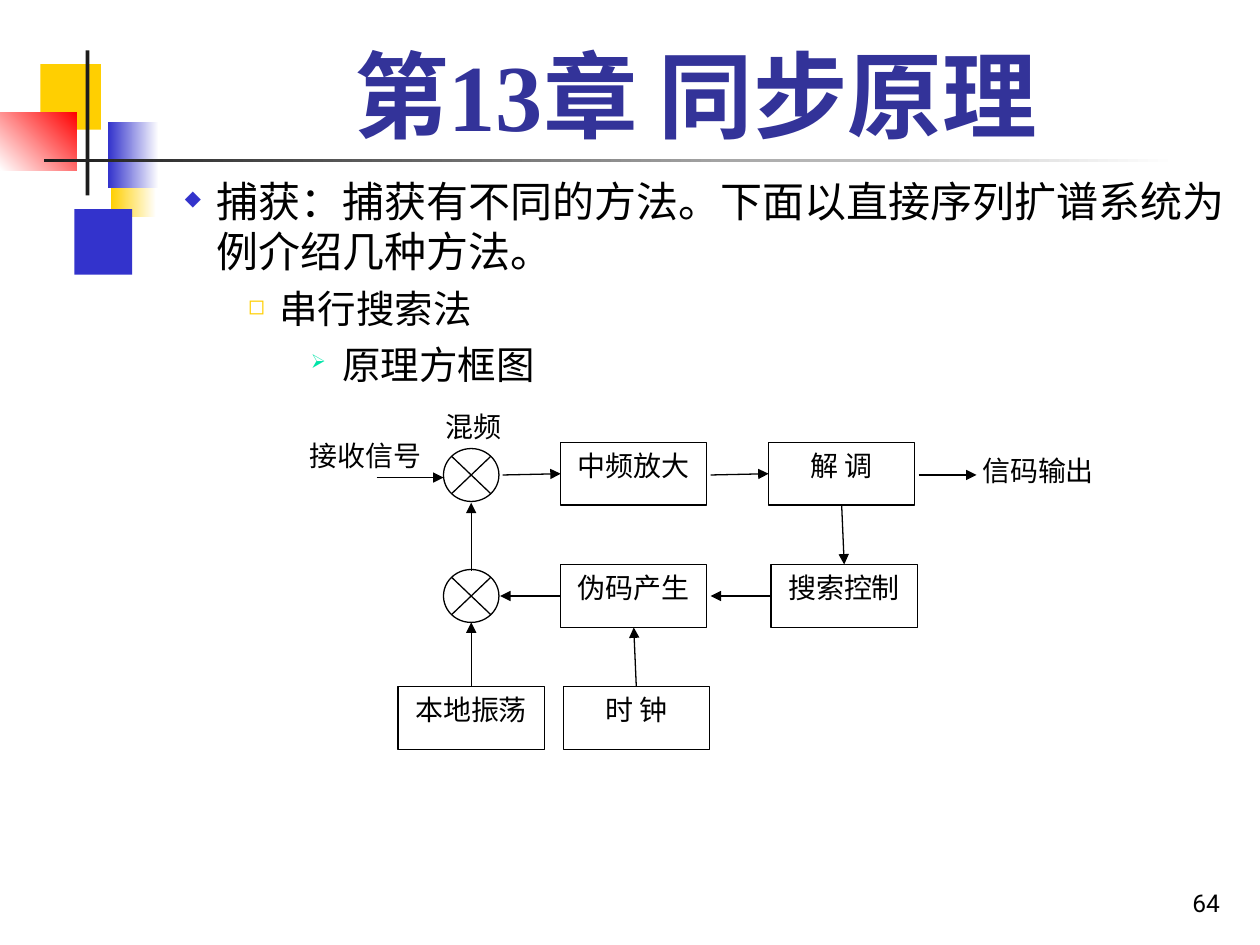
"""Builds the slide on synchronisation: serial search acquisition block diagram."""
import lxml.etree
import pptx
import pptx.dml.color
import pptx.enum.shapes
import pptx.enum.text
import pptx.oxml.ns
import pptx.util

presentation = pptx.Presentation()
presentation.slide_width = pptx.util.Inches(10)
presentation.slide_height = pptx.util.Inches(7.5)
slide = presentation.slides.add_slide(presentation.slide_layouts[6])
cell = presentation.slide_width / 100
color = pptx.dml.color.RGBColor.from_string
qn = pptx.oxml.ns.qn
shape_type = pptx.enum.shapes.MSO_SHAPE
align = pptx.enum.text.PP_ALIGN
anchors = pptx.enum.text.MSO_ANCHOR


def grid(*cells):
    """Turn columns and rows of a 100 by 75 grid into slide lengths."""
    return [round(value * cell) for value in cells]


def write(shape, text, size=16, font="Times New Roman", fill="000000", bold=False,
          alignment=align.CENTER, anchor=anchors.TOP, inset=True, bullet=None, first=True):
    """Write one paragraph of formatted text into a shape."""
    frame = shape.text_frame
    frame.word_wrap = True
    frame.vertical_anchor = anchor
    if not inset:
        frame.margin_left = frame.margin_right = frame.margin_top = frame.margin_bottom = 0
    paragraph = frame.paragraphs[0] if first else frame.add_paragraph()
    paragraph.alignment = alignment
    if bullet:
        level, character, bullet_color, percent = bullet
        paragraph.level = level
        properties = paragraph._p.get_or_add_pPr()
        properties.set("marL", str(pptx.util.Inches(0.25 + level / 2)))
        properties.set("indent", str(pptx.util.Inches(-0.25)))
        holder = lxml.etree.SubElement(properties, qn("a:buClr"))
        lxml.etree.SubElement(holder, qn("a:srgbClr"), val=bullet_color)
        lxml.etree.SubElement(properties, qn("a:buSzPct"), val=str(percent * 1000))
        lxml.etree.SubElement(properties, qn("a:buChar"), char=character)
    if not first:
        paragraph.space_before = pptx.util.Pt(size / 4)
    run = paragraph.add_run()
    run.text = text
    run.font.size = pptx.util.Pt(size)
    run.font.name = font
    run.font.bold = bold
    run.font.color.rgb = color(fill)


decorations = [
    ((8.8, 12, 3.6, 5.2), ["FFFFFF", "FFCF01"], 180),
    ((5.9, 16.6, 4.6, 5.2), ["3333CC"], 0),
    ((3.2, 5.1, 4.8, 5.2), ["FFCF01"], 0),
    ((8.6, 9.7, 4, 5.2), ["FFFFFF", "3333CC"], 180),
    ((0, 8.9, 6.1, 4.6), ["FF0000", "FFFFFF"], 225),
    ((6.8, 4, 0.3, 11.5), ["1C1C1C"], 0),
    ((3.5, 12.6, 90, 0.3), ["FFFFFF", "1C1C1C"], 180),
]
for place, colors, angle in decorations:
    shape = slide.shapes.add_shape(shape_type.RECTANGLE, *grid(*place))
    shape.shadow.inherit = False
    shape.line.fill.background()
    if len(colors) == 1:
        shape.fill.solid()
        shape.fill.fore_color.rgb = color(colors[0])
    else:
        shape.fill.gradient()
        shape.fill.gradient_angle = angle
        for stop, stop_color in zip(shape.fill.gradient_stops, colors):
            stop.color.rgb = color(stop_color)

blocks = {
    "中频放大": (44.5, 35.1), "解 调": (61, 35.1),
    "伪码产生": (44.5, 44.8), "搜索控制": (61.2, 44.8),
    "本地振荡": (31.6, 54.5), "时 钟": (44.7, 54.5),
    "upper mixer": (35.2, 35.6), "lower mixer": (35.2, 45.2),
}
nodes = {}
for name, (left, top) in blocks.items():
    mixer = name.endswith("mixer")
    kind = shape_type.FLOWCHART_SUMMING_JUNCTION if mixer else shape_type.RECTANGLE
    size = (4.4, 4.2) if mixer else (11.6, 5)
    shape = slide.shapes.add_shape(kind, *grid(left, top, *size))
    shape.shadow.inherit = False
    shape.fill.solid()
    shape.fill.fore_color.rgb = color("FFFFFF")
    shape.line.color.rgb = color("000000")
    shape.line.width = pptx.util.Pt(0.75)
    if not mixer:
        write(shape, name)
    nodes[name] = shape

arrows = [
    ((29.9, 37.9, 35.2, 37.9), None, None),
    ((39.9, 37.7, 44.5, 37.7), None, ("中频放大", 1)),
    ((56.4, 37.7, 61, 37.7), None, ("解 调", 1)),
    ((72.9, 37.7, 77.5, 37.7), None, None),
    ((67, 40.1, 67, 45), ("解 调", 2), ("搜索控制", 0)),
    ((61, 47.3, 56.4, 47.3), ("搜索控制", 1), None),
    ((44.3, 47.3, 39.7, 47.3), ("伪码产生", 1), None),
    ((50.4, 54.5, 50.4, 49.7), ("时 钟", 0), ("伪码产生", 2)),
    ((37.4, 54.3, 37.4, 49.4), ("本地振荡", 0), None),
    ((37.4, 45.3, 37.4, 39.9), None, None),
]
for points, start, end in arrows:
    connector = slide.shapes.add_connector(pptx.enum.shapes.MSO_CONNECTOR.STRAIGHT, *grid(*points))
    if start:
        connector.begin_connect(nodes[start[0]], start[1])
    if end:
        connector.end_connect(nodes[end[0]], end[1])
    connector.line.color.rgb = color("000000")
    connector.line.width = pptx.util.Pt(0.75)
    lxml.etree.SubElement(connector.line._get_or_add_ln(), qn("a:tailEnd"), type="triangle")
    lxml.etree.SubElement(connector._element.spPr, qn("a:effectLst"))

labels = [
    ("接收信号", (23.2, 34.8, 11.6, 3.7)),
    ("信码输出", (76.6, 36, 11.6, 3.7)),
    ("混频", (34.2, 32.5, 6.7, 3.4)),
]
for text, place in labels:
    write(slide.shapes.add_textbox(*grid(*place)), text, inset=False)

title = slide.shapes.add_textbox(*grid(12.6, 2.3, 85.2, 10.1))
write(title, "第13章 同步原理", size=54, fill="333399", bold=True, anchor=anchors.BOTTOM)

body = slide.shapes.add_textbox(*grid(3.7, 13.4, 96.3, 61.6))
points = [
    ("捕获：捕获有不同的方法。下面以直接序列扩谱系统为例介绍几种方法。", 24, (2, "◆", "3333CC", 50)),
    ("串行搜索法", 22, (3, "◻", "FFCF01", 55)),
    ("原理方框图", 22, (4, "➢", "00E4A8", 50)),
]
for index, (text, size, bullet) in enumerate(points):
    write(body, text, size=size, alignment=align.LEFT, bullet=bullet, first=index == 0)

number = slide.shapes.add_textbox(*grid(77, 68.3, 20.8, 5))
write(number, "64", size=14, font="Roboto", alignment=align.RIGHT, anchor=anchors.BOTTOM)

presentation.save("out.pptx")
